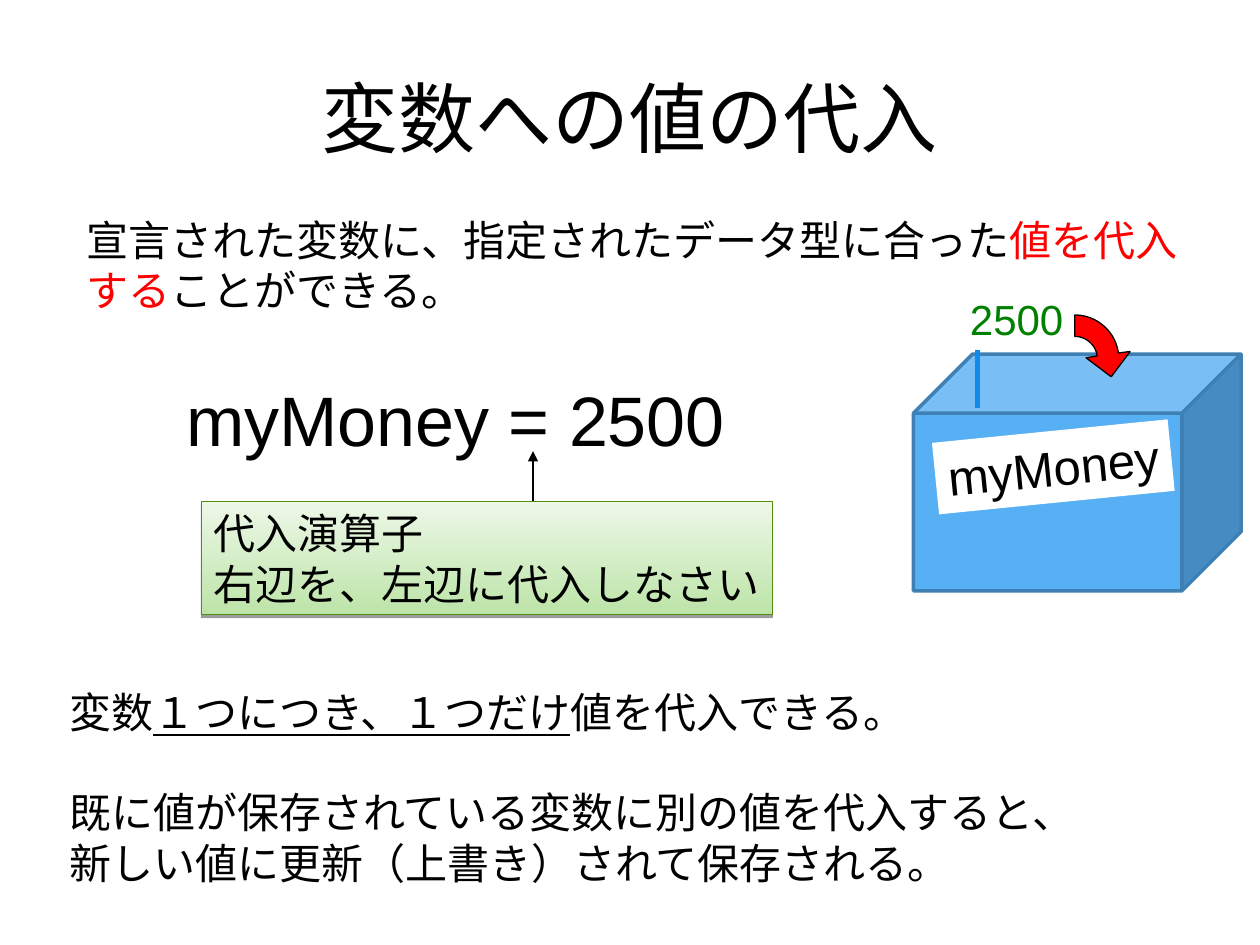
import math
from dataclasses import dataclass
from typing import Optional

from lxml import etree
from pptx import Presentation
from pptx.dml.color import RGBColor
from pptx.enum import shapes, text
from pptx.oxml import parse_xml
from pptx.oxml.ns import qn
from pptx.util import Pt

PX = 9144  # EMU per px, 100 px to the inch
FONT = "Arial"
A_NS = "http://schemas.openxmlformats.org/drawingml/2006/main"
MSO = shapes.MSO_SHAPE


@dataclass
class Run:
    text: str
    color: str = "000000"
    underline: bool = False


@dataclass
class Para:
    runs: list[Run]
    before: float = 0


@dataclass
class Box:
    at: tuple[int, int, int, int]
    paras: list[Para]
    size: int = 24
    wrap: bool = False
    grow: bool = True
    centered: bool = False
    rect: bool = False
    fill: Optional[str] = None
    line: Optional[str] = None
    rotation: float = 0


def rgb(color: str) -> RGBColor:
    return RGBColor.from_string(color)


def style(sp, fill: Optional[str], line: Optional[str], width: float = 0.75) -> None:
    sp.shadow.inherit = False
    if fill:
        sp.fill.solid()
        sp.fill.fore_color.rgb = rgb(fill)
    else:
        sp.fill.background()
    if line:
        sp.line.color.rgb = rgb(line)
        sp.line.width = Pt(width)
    else:
        sp.line.fill.background()


def draw_box(slide, box: Box):
    at = [v * PX for v in box.at]
    if box.rect:
        sp = slide.shapes.add_shape(MSO.RECTANGLE, *at)
        style(sp, box.fill, box.line)
    else:
        sp = slide.shapes.add_textbox(*at)
    sp.rotation = box.rotation

    tf = sp.text_frame
    tf.word_wrap = box.wrap
    fit = text.MSO_AUTO_SIZE
    tf.auto_size = fit.SHAPE_TO_FIT_TEXT if box.grow else fit.NONE
    anchor = text.MSO_ANCHOR
    tf.vertical_anchor = anchor.MIDDLE if box.centered else anchor.TOP
    for i, para in enumerate(box.paras):
        p = tf.paragraphs[0] if i == 0 else tf.add_paragraph()
        p.alignment = text.PP_ALIGN.CENTER if box.centered else text.PP_ALIGN.LEFT
        if para.before:
            p.space_before = Pt(para.before)
        for run in para.runs:
            r = p.add_run()
            r.text = run.text
            r.font.name = FONT
            r.font.size = Pt(box.size)
            r.font.color.rgb = rgb(run.color)
            if run.underline:
                r.font.underline = True
    return sp


def draw_line(slide, start: tuple[int, int], end: tuple[int, int],
              color: str, width: float, arrow: bool = False) -> None:
    cn = slide.shapes.add_connector(shapes.MSO_CONNECTOR.STRAIGHT,
                                    *(v * PX for v in start + end))
    cn.line.color.rgb = rgb(color)
    cn.line.width = Pt(width)
    if arrow:
        etree.SubElement(cn.line._get_or_add_ln(), qn("a:tailEnd"), type="triangle")
    etree.SubElement(cn._element.spPr, qn("a:effectLst"))


def draw_curved_arrow(slide, cx: int, cy: int, inner: int, outer: int) -> None:
    """Quarter-ring arrow bending from the top to the right and down."""
    def arc(radius: int, angles) -> list[tuple[float, float]]:
        return [(cx + radius * math.cos(math.radians(a)),
                 cy + radius * math.sin(math.radians(a))) for a in angles]

    angles = range(-90, -7, 2)
    head = [(897, 279), (882, 299), (862, 284)]
    points = arc(outer, angles) + head + arc(inner, reversed(angles))
    fb = slide.shapes.build_freeform(round(points[0][0] * 100),
                                     round(points[0][1] * 100), scale=PX / 100)
    fb.add_line_segments([(round(x * 100), round(y * 100)) for x, y in points[1:]])
    style(fb.convert_to_shape(), "FF0000", "000000")


def shade_operator_box(sp) -> None:
    sp.fill.gradient()
    sp.fill.gradient_angle = 90
    for stop, position, color in zip(sp.fill.gradient_stops, (0, 1), ("BDE4A8", "EDF8E8")):
        stop.position = position
        stop.color.rgb = rgb(color)
    effects = sp._element.spPr.find(qn("a:effectLst"))
    effects.append(parse_xml(
        f'<a:outerShdw xmlns:a="{A_NS}" blurRad="0" dist="{Pt(1.6)}" dir="5400000" '
        'rotWithShape="0"><a:srgbClr val="000000"><a:alpha val="38000"/></a:srgbClr>'
        '</a:outerShdw>'))


def main() -> None:
    prs = Presentation()
    prs.slide_width, prs.slide_height = 1000 * PX, 750 * PX
    slide = prs.slides.add_slide(prs.slide_layouts[6])

    # Assignment statement and operator note
    draw_box(slide, Box((138, 294, 447, 77), [Para([Run("myMoney = 2500")])], size=40))
    operator = draw_box(slide, Box(
        (160, 398, 453, 90),
        [Para([Run("代入演算子")]), Para([Run("右辺を、左辺に代入しなさい")])],
        rect=True, line="548C0D"))
    shade_operator_box(operator)

    # Title and introduction
    draw_box(slide, Box((50, 30, 900, 125), [Para([Run("変数への値の代入")])],
                        size=44, wrap=True, grow=False, centered=True))
    draw_box(slide, Box(
        (59, 165, 906, 90),
        [Para([Run("宣言された変数に、指定されたデータ型に合った"),
               Run("値を代入する", "FF0000"), Run("ことができる。")])],
        wrap=True, rect=True, line="FFFFFF"))

    # Variable drawn as a labelled container
    draw_box(slide, Box((760, 228, 94, 50), [Para([Run("2500", "008000")])]))
    cube = slide.shapes.add_shape(MSO.CUBE, 725 * PX, 281 * PX, 260 * PX, 188 * PX)
    cube.adjustments[0] = 0.25
    style(cube, "58B0F4", "3E80B3", 2)
    draw_box(slide, Box((742, 342, 188, 57), [Para([Run("myMoney")])], size=28,
                        rect=True, fill="FFFFFF", rotation=354.3))
    draw_curved_arrow(slide, 853, 285, 18, 35)
    draw_line(slide, (776, 278), (776, 324), "0F8AEA", 3)

    # Pointer to the assignment operator
    draw_line(slide, (423, 398), (423, 358), "000000", 1.5, arrow=True)

    # Closing remarks
    draw_box(slide, Box((45, 540, 820, 170), [
        Para([Run("変数"), Run("１つにつき、１つだけ", underline=True),
              Run("値を代入できる。")]),
        Para([Run("既に値が保存されている変数に別の値を代入すると、")], before=28.5),
        Para([Run("新しい値に更新（上書き）されて保存される。")]),
    ]))

    prs.save("out.pptx")


if __name__ == "__main__":
    main()
